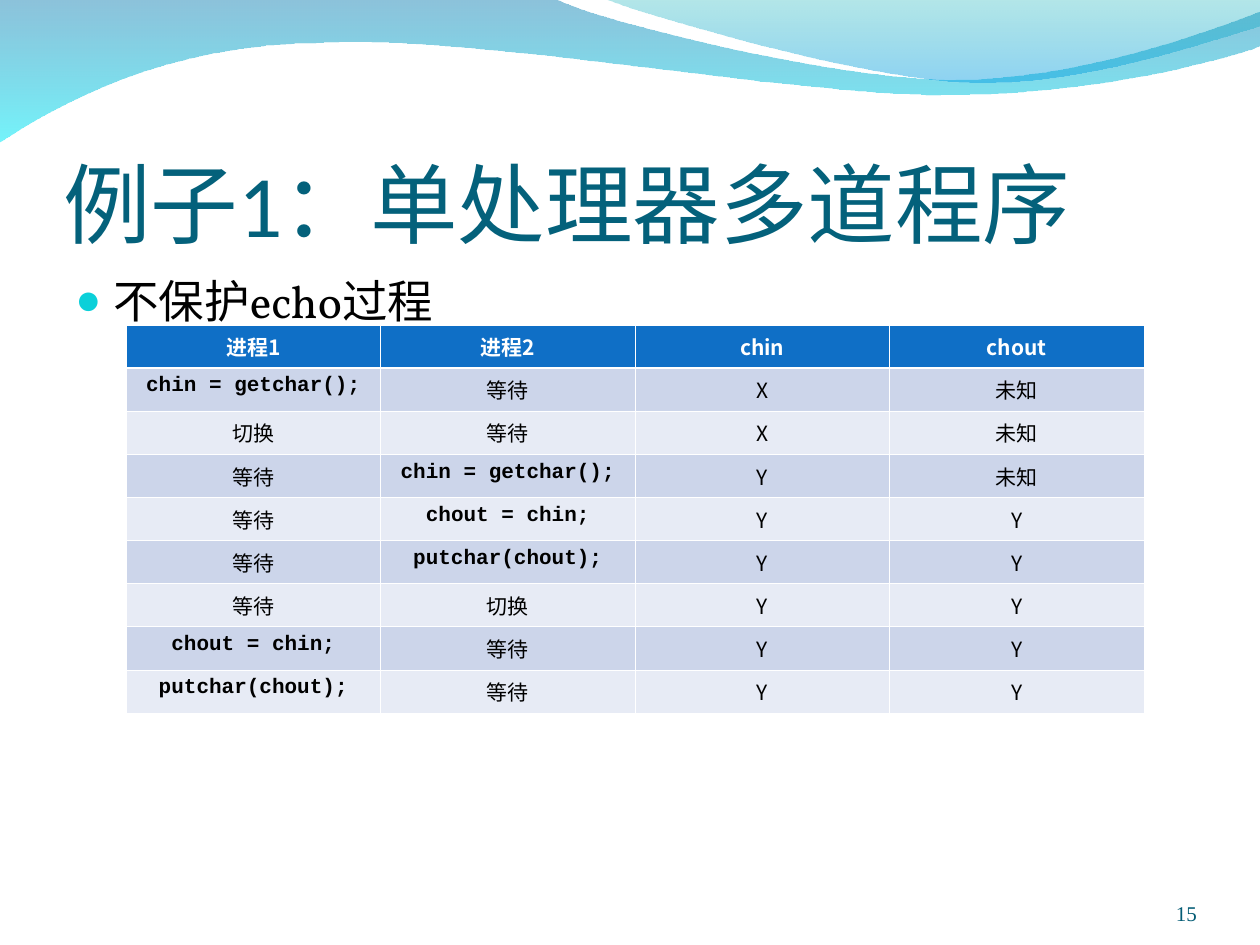
import pptx
import pptx.dml.color
import pptx.enum.text
import pptx.oxml
import pptx.oxml.ns
import pptx.util

ALIGN = pptx.enum.text.PP_ALIGN
ANCHOR = pptx.enum.text.MSO_ANCHOR
CJK_FONT = "Noto Sans CJK SC"
CODE_FONT = "Courier New"
WIDTH, HEIGHT = 10, 7.5

HEADER = ("进程1", "进程2", "chin", "chout")
STEPS = (
    ("chin = getchar();", "等待", "X", "未知"),
    ("切换", "等待", "X", "未知"),
    ("等待", "chin = getchar();", "Y", "未知"),
    ("等待", "chout = chin;", "Y", "Y"),
    ("等待", "putchar(chout);", "Y", "Y"),
    ("等待", "切换", "Y", "Y"),
    ("chout = chin;", "等待", "Y", "Y"),
    ("putchar(chout);", "等待", "Y", "Y"),
)

# A segment of two numbers is a line end; six numbers are a Bezier curve.
BROAD_WAVE = (
    (0, -0.01), (4.4, -0.01),
    (4.76, 0.17, 6.64, 0.63, 7.58, 0.63), (8.53, 0.63, 9.58, 0.26, 10, 0.09),
    (10.01, 0.36),
    (9.83, 0.44, 8.7, 0.76, 7.46, 0.75), (6.22, 0.75, 3.82, 0.28, 2.57, 0.34),
    (1.29, 0.35, 0.46, 0.83, -0.01, 1.13),
)
RIGHT_WAVE = (
    (4.79, -0.01),
    (5.09, 0.11, 6.82, 0.62, 7.69, 0.65), (8.56, 0.69, 9.61, 0.32, 10, 0.21),
    (10, 0),
)


def color(value):
    return pptx.dml.color.RGBColor.from_string(value)


def share_box(left, top, width, height):
    """Turn shares of the slide into left, top, width and height."""
    return [pptx.util.Inches(share * side) for share, side in
            zip((left, top, width, height), (WIDTH, HEIGHT) * 2)]


def drawing_element(tag, **attributes):
    element = pptx.oxml.parse_xml(f"<{tag} {pptx.oxml.ns.nsdecls('a')}/>")
    for name, value in attributes.items():
        element.set(name, str(value))
    return element


def format_runs(paragraph, size, font, hex_color, bold=False):
    """Format every run; other fonts fall back to the CJK font for Chinese."""
    for run in paragraph.runs:
        run.font.size = pptx.util.Pt(size)
        run.font.name = font
        run.font.bold = bold
        run.font.color.rgb = color(hex_color)
        run.font._element.find(pptx.oxml.ns.qn("a:latin")).addnext(
            drawing_element("a:ea", typeface=CJK_FONT))


def set_frame(frame, anchor, insets):
    frame.word_wrap = True
    frame.auto_size = pptx.enum.text.MSO_AUTO_SIZE.NONE
    frame.vertical_anchor = anchor
    (frame.margin_left, frame.margin_top, frame.margin_right,
     frame.margin_bottom) = map(pptx.util.Inches, insets)


def curve_segments(shape, segments):
    """Merge the three lines through each curve's points into one Bezier."""
    lines = iter(list(shape._element.iter(pptx.oxml.ns.qn("a:lnTo"))))
    for segment in segments:
        group = [next(lines) for _ in range(len(segment) // 2)]
        if len(group) == 3:
            curve = drawing_element("a:cubicBezTo")
            group[0].addprevious(curve)
            for line in group:
                curve.append(line[0])
                line.getparent().remove(line)


def add_wave(slide, outline, stops):
    """Draw a wave with a downward gradient of (colour, opacity percent)."""
    start, *points = [
        tuple(map(pptx.util.Inches, segment[index:index + 2]))
        for segment in outline for index in range(0, len(segment), 2)]
    builder = slide.shapes.build_freeform(*start)
    builder.add_line_segments(points, close=True)
    wave = builder.convert_to_shape()
    curve_segments(wave, outline[1:])
    wave.shadow.inherit = False
    wave.line.fill.background()
    wave.fill.gradient()
    wave.fill.gradient_angle = 270
    for stop, (hex_color, _) in zip(wave.fill.gradient_stops, stops):
        stop.color.rgb = color(hex_color)
    colors = wave._element.spPr.iter(pptx.oxml.ns.qn("a:srgbClr"))
    for element, (_, opacity) in zip(colors, stops):
        element.append(drawing_element("a:alpha", val=opacity * 1000))


def place_title(slide, box, text):
    title = slide.shapes.title
    title.left, title.top, title.width, title.height = box
    set_frame(title.text_frame, ANCHOR.BOTTOM, (0, 0.05, 0, 0))
    title.text_frame.text = text
    paragraph = title.text_frame.paragraphs[0]
    paragraph.alignment = ALIGN.LEFT
    format_runs(paragraph, 50, "Calibri", "04617B")


def add_bullet(slide, box, text):
    frame = slide.shapes.add_textbox(*box).text_frame
    set_frame(frame, ANCHOR.TOP, (0.1, 0.05, 0.1, 0.05))
    frame.text = text
    paragraph = frame.paragraphs[0]
    properties = paragraph._p.get_or_add_pPr()
    indent = pptx.util.Inches(0.3)
    properties.set("marL", str(indent))
    properties.set("indent", str(-indent))
    bullet_color = drawing_element("a:buClr")
    bullet_color.append(drawing_element("a:srgbClr", val="0BD0D9"))
    properties.append(bullet_color)
    properties.append(drawing_element("a:buSzPct", val=95000))
    properties.append(drawing_element("a:buFont", typeface="Times New Roman"))
    properties.append(drawing_element("a:buChar", char="●"))
    format_runs(paragraph, 26, "Vollkorn", "000000")


def add_page_number(slide, box, text):
    frame = slide.shapes.add_textbox(*box).text_frame
    set_frame(frame, ANCHOR.BOTTOM, (0, 0, 0, 0))
    frame.text = text
    frame.paragraphs[0].alignment = ALIGN.RIGHT
    format_runs(frame.paragraphs[0], 12, "Times New Roman", "045C75")


def set_borders(cell, top, bottom):
    properties = cell._tc.get_or_add_tcPr()
    for side, width in (("L", 0.45), ("R", 0.45), ("T", top), ("B", bottom)):
        line = drawing_element(f"a:ln{side}", w=pptx.util.Pt(width))
        fill = drawing_element("a:solidFill")
        fill.append(drawing_element("a:srgbClr", val="FFFFFF"))
        line.append(fill)
        properties.append(line)


def add_trace_table(slide, box, rows):
    table = slide.shapes.add_table(len(rows), len(rows[0]), *box).table
    for row_index, row in enumerate(rows):
        is_header = row_index == 0
        if is_header:
            fill, text_color = "0F6FC6", "FFFFFF"
        else:
            fill, text_color = ("E7EBF5", "CCD5EA")[row_index % 2], "000000"
        for column_index, text in enumerate(row):
            cell = table.cell(row_index, column_index)
            set_borders(cell, 1.47 if row_index == 1 else 0.45,
                        1.47 if is_header else 0.45)
            cell.fill.solid()
            cell.fill.fore_color.rgb = color(fill)
            cell.text_frame.text = text
            paragraph = cell.text_frame.paragraphs[0]
            paragraph.alignment = ALIGN.CENTER
            is_code = text.endswith(";")
            format_runs(paragraph, 12, CODE_FONT if is_code else CJK_FONT,
                        text_color, bold=is_header or is_code)


def main():
    presentation = pptx.Presentation()
    presentation.slide_width = pptx.util.Inches(WIDTH)
    presentation.slide_height = pptx.util.Inches(HEIGHT)
    slide = presentation.slides.add_slide(
        presentation.slide_layouts.get_by_name("Title Only"))
    add_wave(slide, BROAD_WAVE, (("0079AF", 45), ("00EBF8", 55)))
    add_wave(slide, RIGHT_WAVE, (("00ADB6", 30), ("009BE5", 45)))
    place_title(slide, share_box(0.05, 0.103, 0.9, 0.167), "例子1：单处理器多道程序")
    add_bullet(slide, share_box(0.05, 0.282, 0.9, 0.64), "不保护echo过程")
    add_page_number(slide, share_box(0.867, 0.927, 0.083, 0.053), "15")
    add_trace_table(slide, share_box(0.1, 0.344, 0.808, 0.36), (HEADER, *STEPS))
    presentation.save("out.pptx")


if __name__ == "__main__":
    main()
